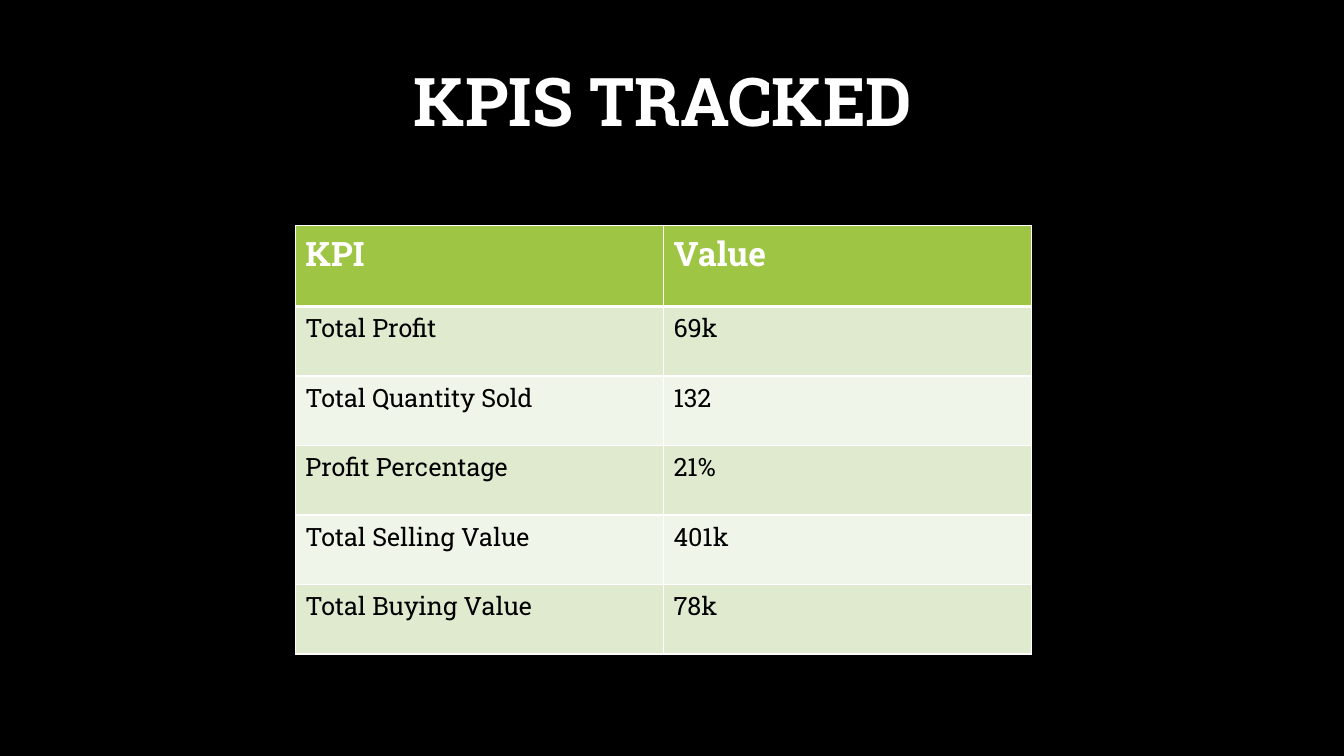
from lxml import etree
from pptx import Presentation
from pptx.dml.color import RGBColor
from pptx.enum.text import MSO_ANCHOR, PP_ALIGN
from pptx.oxml.ns import qn
from pptx.util import Inches, Pt

WHITE, BLACK = "FFFFFF", "000000"
GREEN, BANDS = "9EC544", ("DFEACF", "F0F5E9")


def add_run(p, text, size, color, bold):
    r = p.add_run()
    r.text = text
    r.font.name = "Roboto Slab"
    r.font.size = Pt(size)
    r.font.bold = bold
    r.font.color.rgb = RGBColor.from_string(color)


def add_border(cell, side, width):
    ln = etree.SubElement(cell._tc.get_or_add_tcPr(), qn("a:ln" + side), w=str(Pt(width)))
    fill = etree.SubElement(ln, qn("a:solidFill"))
    etree.SubElement(fill, qn("a:srgbClr"), val=WHITE)


prs = Presentation()
prs.slide_width, prs.slide_height = Inches(13.33), Inches(7.5)
s = prs.slides.add_slide(prs.slide_layouts[6])
s.background.fill.solid()
s.background.fill.fore_color.rgb = RGBColor.from_string(BLACK)

# Title
title = s.shapes.add_textbox(Inches(1.33), Inches(0.11), Inches(10.5), Inches(1.85))
tf = title.text_frame
tf.word_wrap = True
tf.vertical_anchor = MSO_ANCHOR.MIDDLE
p = tf.paragraphs[0]
p.alignment = PP_ALIGN.CENTER
p.line_spacing = 0.9
add_run(p, "KPIS TRACKED", 48, WHITE, True)

# KPI table
kpis = [
    ("KPI", "Value"),
    ("Total Profit", "69k"),
    ("Total Quantity Sold", "132"),
    ("Profit Percentage", "21%"),
    ("Total Selling Value", "401k"),
    ("Total Buying Value", "78k"),
]
table = s.shapes.add_table(len(kpis), 2, Inches(2.93), Inches(2.24),
                           Inches(7.3), Inches(4.22)).table
for i, row in enumerate(kpis):
    header = i == 0
    table.rows[i].height = Inches(0.8 if header else 0.69)
    for j, text in enumerate(row):
        cell = table.cell(i, j)
        # The rule under the header row is thicker than the others
        for side in "LRTB":
            thick = (i, side) in ((0, "B"), (1, "T"))
            add_border(cell, side, 3 if thick else 1)
        cell.fill.solid()
        cell.fill.fore_color.rgb = RGBColor.from_string(GREEN if header else BANDS[(i - 1) % 2])
        add_run(cell.text_frame.paragraphs[0], text, 24 if header else 18,
                WHITE if header else BLACK, header)

prs.save("out.pptx")
